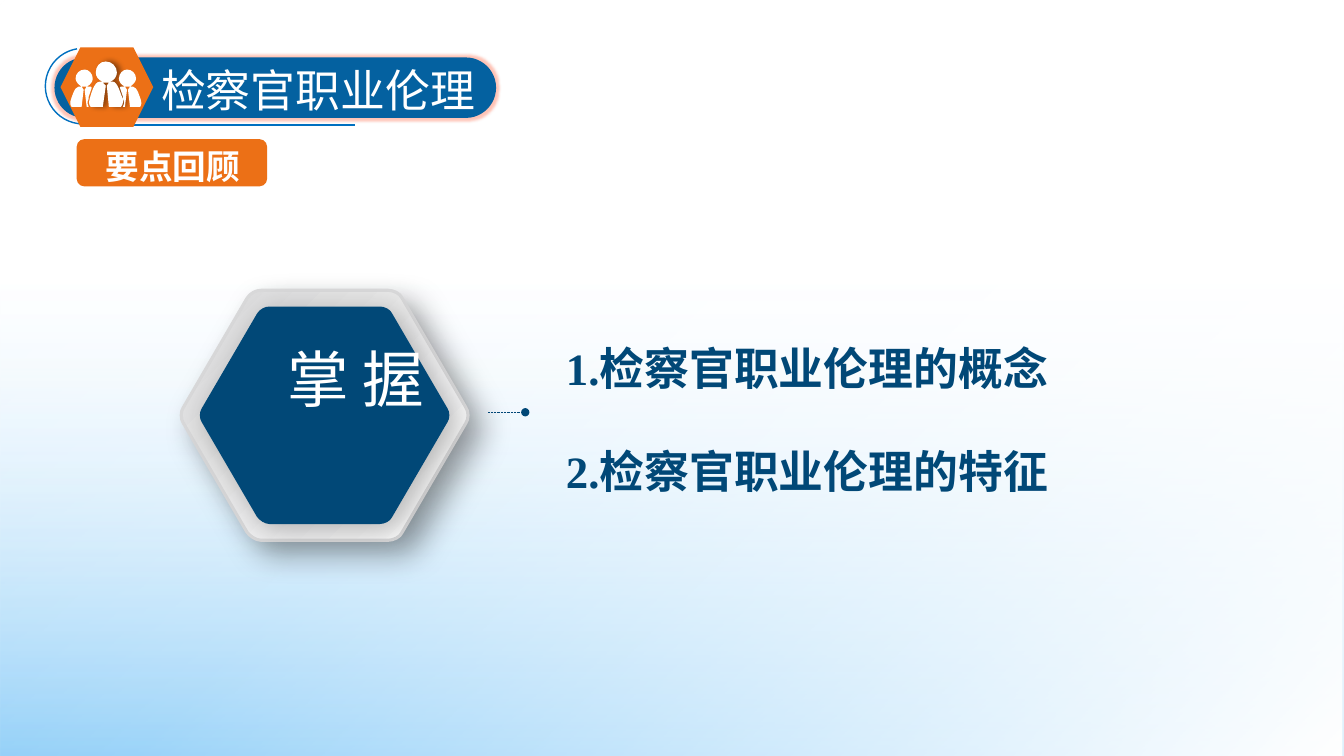
from lxml import etree
from pptx import Presentation
from pptx.dml.color import RGBColor
from pptx.enum.shapes import MSO_CONNECTOR, MSO_SHAPE
from pptx.enum.text import PP_ALIGN
from pptx.oxml import parse_xml
from pptx.oxml.ns import qn
from pptx.util import Inches, Pt

TITLE = "检察官职业伦理"
BADGE = "要点回顾"
LEVEL = "掌 握"
ITEMS = [
    (" 1.检察官职业伦理的概念", 5.11, 3.22, 5.68),
    ("2.检察官职业伦理的特征", 5.29, 4.25, 5.43),
]

COLORS = {
    "white": "FFFFFF", "sky": "67BDF6", "orange": "EC7016", "navy": "014877",
    "blue": "0461A0", "line": "0070C0", "silver": "D9D9DA", "black": "000000",
    "glow": "FF6B4A",
}
SANS, SERIF = "Noto Sans CJK SC", "Times New Roman"
WIDTH, HEIGHT = 13.33, 7.5
STRAIGHT = MSO_CONNECTOR.STRAIGHT
LEFT, CENTER = PP_ALIGN.LEFT, PP_ALIGN.CENTER
RECT, ROUND, HEXAGON, ARC = (
    MSO_SHAPE.RECTANGLE, MSO_SHAPE.ROUNDED_RECTANGLE, MSO_SHAPE.HEXAGON, MSO_SHAPE.ARC)
NAMESPACE = 'xmlns:a="http://schemas.openxmlformats.org/drawingml/2006/main"'

HEX_CENTER = (3.22, 4.12)
HEX_OUTLINE = [
    (-0.63, -1.24), (0.63, -1.24), (0.68, -1.24, 0.75, -1.21, 0.77, -1.16),
    (1.40, -0.08), (1.43, -0.04, 1.43, 0.04, 1.40, 0.08),
    (0.77, 1.16), (0.75, 1.21, 0.68, 1.24, 0.63, 1.24),
    (-0.63, 1.24), (-0.68, 1.24, -0.74, 1.20, -0.77, 1.16),
    (-1.40, 0.08), (-1.43, 0.04, -1.43, -0.04, -1.40, -0.08),
    (-0.77, -1.16), (-0.74, -1.21, -0.68, -1.24, -0.63, -1.24),
]
ICON_AXIS = 1.05
LEADER = [
    (1.22, 0.98), (1.20, 0.95, 1.17, 0.81, 1.12, 0.81), (1.09, 0.81),
    (1.13, 0.80, 1.16, 0.76, 1.16, 0.72), (1.16, 0.66, 1.11, 0.61, 1.05, 0.61),
    (0.99, 0.61, 0.95, 0.66, 0.95, 0.72), (0.95, 0.76, 0.98, 0.80, 1.02, 0.81),
    (0.99, 0.81), (0.93, 0.81, 0.90, 0.95, 0.89, 0.98),
    (0.87, 1.03, 0.90, 1.06, 0.90, 1.06), (1.02, 1.06), (1.05, 0.85),
    (1.02, 0.82), (1.08, 0.82), (1.06, 0.85), (1.08, 1.06), (1.20, 1.06),
    (1.20, 1.06, 1.23, 1.03, 1.22, 0.98),
]
MEMBER = [
    (0.88, 0.98), (0.88, 0.97, 0.88, 0.97, 0.88, 0.96),
    (0.89, 0.93, 0.90, 0.90, 0.91, 0.87), (0.91, 0.86, 0.90, 0.86, 0.89, 0.86),
    (0.86, 0.86), (0.90, 0.84, 0.92, 0.81, 0.92, 0.78),
    (0.92, 0.73, 0.88, 0.69, 0.84, 0.69), (0.79, 0.69, 0.75, 0.73, 0.75, 0.78),
    (0.75, 0.81, 0.78, 0.84, 0.81, 0.86), (0.78, 0.86),
    (0.74, 0.86, 0.71, 0.97, 0.70, 1.00), (0.69, 1.04, 0.71, 1.06, 0.71, 1.06),
    (0.81, 1.06), (0.83, 0.89), (0.81, 0.86), (0.86, 0.86), (0.84, 0.89),
    (0.86, 1.06), (0.88, 1.06), (0.87, 1.04, 0.86, 1.02, 0.88, 0.98),
]

deck = Presentation()
deck.slide_width, deck.slide_height = Inches(WIDTH), Inches(HEIGHT)
page = deck.slides.add_slide(deck.slide_layouts[6])


def rgb(name):
    return RGBColor.from_string(COLORS[name])


def style(shape, fill=None):
    shape.shadow.inherit = False
    shape.line.fill.background()
    if fill:
        shape.fill.solid()
        shape.fill.fore_color.rgb = rgb(fill)
    else:
        shape.fill.background()
    return shape


def add_preset(kind, left, top, width, height, fill=None):
    return style(page.shapes.add_shape(
        kind, Inches(left), Inches(top), Inches(width), Inches(height)), fill)


def add_gradient(shape, stops, angle):
    marks = "".join(
        f'<a:gs pos="{place * 1000}"><a:srgbClr val="{COLORS[color]}">'
        f'<a:alpha val="{alpha * 1000}"/></a:srgbClr></a:gs>'
        for place, color, alpha in stops)
    gradient = parse_xml(
        f'<a:gradFill {NAMESPACE} rotWithShape="1"><a:gsLst>{marks}</a:gsLst>'
        f'<a:lin ang="{angle * 60000}" scaled="0"/></a:gradFill>')
    properties = shape.element.spPr
    properties.replace(properties.find(qn("a:solidFill")), gradient)


def add_effect(shape, tag, color, alpha, **settings):
    effects = shape.element.spPr.find(qn("a:effectLst"))
    values = {key: str(value) for key, value in settings.items()}
    effect = etree.SubElement(effects, qn(tag), values)
    tint = etree.SubElement(effect, qn("a:srgbClr"), val=COLORS[color])
    etree.SubElement(tint, qn("a:alpha"), val=str(alpha * 1000))


def add_shadow(shape, alpha, blur, distance, angle):
    add_effect(shape, "a:outerShdw", "black", alpha, blurRad=Pt(blur),
               dist=Pt(distance), dir=angle * 60000, algn="ctr", rotWithShape=0)


def add_outline(outline, fill, origin=(0, 0), scale_x=1, scale_y=1):
    spots = [(Inches(origin[0] + x * scale_x), Inches(origin[1] + y * scale_y))
             for part in outline for x, y in zip(part[::2], part[1::2])]
    builder = page.shapes.build_freeform(*spots[0])
    builder.add_line_segments(spots[1:], close=True)
    shape = style(builder.convert_to_shape(), fill)
    segments = iter(list(shape.element.spPr.iter(qn("a:lnTo"))))
    for part in outline[1:]:
        group = [next(segments) for _ in part[::2]]
        if len(group) == 3:
            curve = etree.Element(qn("a:cubicBezTo"))
            group[0].addprevious(curve)
            for segment in group:
                curve.append(segment[0])
                segment.getparent().remove(segment)
    return shape


def add_line(start, end, y, color, weight):
    line = page.shapes.add_connector(
        STRAIGHT, Inches(start), Inches(y), Inches(end), Inches(y))
    line.line.color.rgb = rgb(color)
    line.line.width = Pt(weight)
    etree.SubElement(line.element.spPr, qn("a:effectLst"))
    return line


def add_text(words, left, top, width, height, size, color="white", font=SANS,
             bold=False, spacing=1.0, align=LEFT):
    box = page.shapes.add_textbox(Inches(left), Inches(top), Inches(width), Inches(height))
    box.text_frame.word_wrap = True
    para = box.text_frame.paragraphs[0]
    para.text, para.alignment, para.line_spacing = words, align, spacing
    span = para.runs[0]
    span.font.size, span.font.bold, span.font.name = Pt(size), bold, font
    span.font.color.rgb = rgb(color)
    etree.SubElement(span.font._element, qn("a:ea"), typeface=SANS)


for stops, angle in (
        ([(0, "white", 0), (37, "white", 25), (100, "sky", 88)], 90),
        ([(0, "white", 0), (42, "white", 25), (100, "white", 100)], 45)):
    add_gradient(add_preset(RECT, 0, 0, WIDTH, HEIGHT, "white"), stops, angle)

add_preset(ROUND, 0.76, 1.38, 1.89, 0.47, "orange")
add_text(BADGE, 0.95, 1.36, 2.32, 0.51, 24, bold=True, spacing=1.1)

rim = add_outline(HEX_OUTLINE, "silver", HEX_CENTER)
add_gradient(rim, [(0, "silver", 100), (100, "white", 100)], 45)
rim.line.color.rgb = rgb("silver")
rim.line.width = Pt(2.25)
add_shadow(rim, 35, 22, 13, 45)
core = add_outline(HEX_OUTLINE, "navy", HEX_CENTER, 0.87, 0.87)
add_shadow(core, 28, 22, 6, 45)
add_text(LEVEL, 2.75, 3.33, 1.71, 1.58, 44)

pointer = add_line(4.84, 5.21, 4.09, "navy", 0.5)
stroke = pointer.line._get_or_add_ln()
etree.SubElement(stroke, qn("a:prstDash"), val="sysDot")
etree.SubElement(stroke, qn("a:tailEnd"), type="oval")

arc = add_preset(ARC, 0.45, 0.48, 0.75, 0.75)
arc.adjustments[0], arc.adjustments[1] = 53.91, 156.32
arc.line.color.rgb = rgb("line")
arc.line.width = Pt(1)
add_line(0.83, 3.52, 1.24, "line", 1)
pill = add_preset(ROUND, 0.54, 0.57, 4.38, 0.6, "blue")
pill.adjustments[0] = 0.5
add_effect(pill, "a:glow", "glow", 40, rad=Pt(4))
add_text(TITLE, 1.5, 0.57, 3.71, 0.64, 32, font=SERIF)

add_preset(HEXAGON, 0.6, 0.47, 0.92, 0.79, "orange")
add_shadow(add_outline(LEADER, "white"), 40, 4, 3, 0)
add_outline(MEMBER, "white")
add_outline(MEMBER, "white", (2 * ICON_AXIS, 0), -1)

for words, left, top, width in ITEMS:
    add_text(words, left, top, width, 0.7, 32, "navy", SERIF,
             bold=True, spacing=1.2, align=CENTER)

deck.save("out.pptx")
